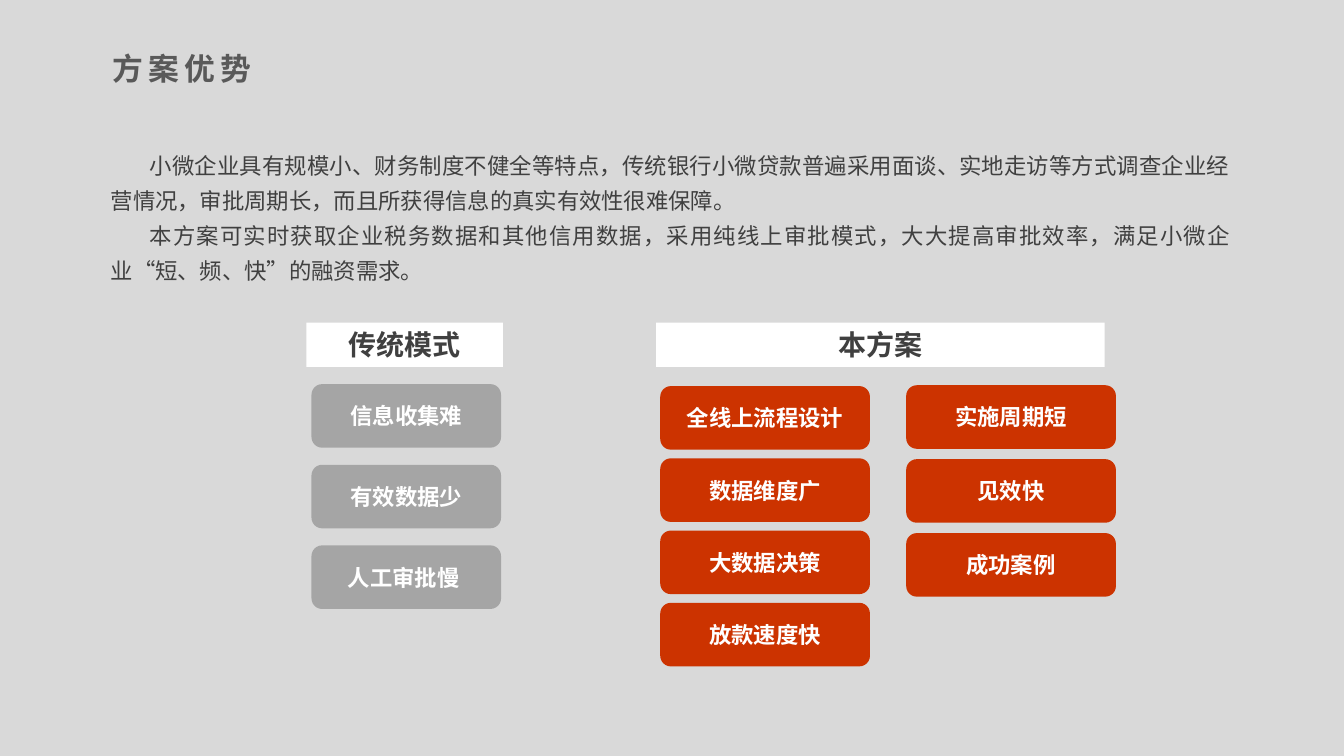
from dataclasses import dataclass

from lxml.etree import SubElement
from pptx import Presentation
from pptx.dml.color import RGBColor
from pptx.enum.shapes import MSO_SHAPE
from pptx.enum.text import MSO_ANCHOR, MSO_AUTO_SIZE, PP_ALIGN
from pptx.oxml.ns import qn
from pptx.slide import Slide
from pptx.text.text import TextFrame
from pptx.util import Pt

FONT = "Noto Sans CJK SC"
BACKGROUND = RGBColor(0xD9, 0xD9, 0xD9)
TITLE_GRAY = RGBColor(0x59, 0x59, 0x59)
DARK = RGBColor(0x40, 0x40, 0x40)
GRAY = RGBColor(0xA5, 0xA5, 0xA5)
RED = RGBColor(0xCC, 0x33, 0x00)
WHITE = RGBColor(0xFF, 0xFF, 0xFF)

BUTTON_HEIGHT = 45.4
HEADER_TOP = 230.4
HEADER_HEIGHT = 31.7

INTRODUCTION = [
    "小微企业具有规模小、财务制度不健全等特点，传统银行小微贷款普遍采用面谈、实地走访等方式调查企业经营情况，审批周期长，而且所获得信息的真实有效性很难保障。",
    "本方案可实时获取企业税务数据和其他信用数据，采用纯线上审批模式，大大提高审批效率，满足小微企业“短、频、快”的融资需求。",
]


@dataclass
class Header:
    text: str
    left: float
    width: float


@dataclass
class ButtonColumn:
    labels: list[str]
    left: float
    top: float
    width: float
    pitch: float
    fill: RGBColor


HEADERS = [Header("传统模式", 218.9, 140.4), Header("本方案", 468.7, 320.4)]
COLUMNS = [
    ButtonColumn(["信息收集难", "有效数据少", "人工审批慢 "], 222.5, 274.4, 135.4, 57.6, GRAY),
    ButtonColumn(["全线上流程设计", "数据维度广", "大数据决策", "放款速度快"],
                 471.6, 275.8, 149.8, 51.6, RED),
    ButtonColumn(["实施周期短", "见效快", "成功案例"], 647.3, 275.2, 149.8, 52.8, RED),
]


def write_text(frame: TextFrame, texts: list[str], *, size: float, color: RGBColor,
               bold: bool = False, align: PP_ALIGN = PP_ALIGN.CENTER,
               anchor: MSO_ANCHOR = MSO_ANCHOR.MIDDLE, tracking: float = 0,
               indent: float = 0, line_height: float | None = None) -> None:
    frame.word_wrap = True
    frame.auto_size = MSO_AUTO_SIZE.NONE
    frame.vertical_anchor = anchor
    for index, text in enumerate(texts):
        paragraph = frame.paragraphs[0] if index == 0 else frame.add_paragraph()
        paragraph.alignment = align
        if line_height:
            paragraph.line_spacing = Pt(line_height)
        if indent:
            properties = paragraph._p.get_or_add_pPr()
            properties.set("marL", "0")
            properties.set("indent", str(Pt(indent)))
        run = paragraph.add_run()
        run.text = text
        run.font.size = Pt(size)
        run.font.bold = bold
        run.font.color.rgb = color
        run.font.name = FONT
        run_properties = run._r.get_or_add_rPr()
        SubElement(run_properties, qn("a:ea")).set("typeface", FONT)
        if tracking:
            run_properties.set("spc", str(round(tracking * 100)))


def add_box(slide: Slide, kind: MSO_SHAPE, left: float, top: float, width: float,
            height: float, fill: RGBColor) -> TextFrame:
    shape = slide.shapes.add_shape(kind, Pt(left), Pt(top), Pt(width), Pt(height))
    shape.shadow.inherit = False
    shape.fill.solid()
    shape.fill.fore_color.rgb = fill
    shape.line.fill.background()
    return shape.text_frame


def add_title(slide: Slide) -> None:
    title = slide.shapes.title
    title.left, title.top, title.width, title.height = Pt(72), Pt(31.7), Pt(864), Pt(33.8)
    frame = title.text_frame
    frame.margin_left = frame.margin_right = Pt(8.6)
    frame.margin_top = frame.margin_bottom = Pt(4.3)
    write_text(frame, ["方案优势"], size=22, color=TITLE_GRAY, bold=True,
               align=PP_ALIGN.LEFT, tracking=3.6)


def add_introduction(slide: Slide) -> None:
    textbox = slide.shapes.add_textbox(Pt(72), Pt(99.4), Pt(814.3), Pt(108))
    write_text(textbox.text_frame, INTRODUCTION, size=16, color=DARK,
               align=PP_ALIGN.JUSTIFY, anchor=MSO_ANCHOR.TOP, indent=28, line_height=25)


def add_header(slide: Slide, header: Header) -> None:
    frame = add_box(slide, MSO_SHAPE.RECTANGLE, header.left, HEADER_TOP,
                    header.width, HEADER_HEIGHT, WHITE)
    frame.margin_top = frame.margin_bottom = Pt(0)
    write_text(frame, [header.text], size=20, color=DARK, bold=True)


def add_column(slide: Slide, column: ButtonColumn) -> None:
    for row, label in enumerate(column.labels):
        frame = add_box(slide, MSO_SHAPE.ROUNDED_RECTANGLE, column.left,
                        column.top + row * column.pitch, column.width,
                        BUTTON_HEIGHT, column.fill)
        write_text(frame, [label], size=16, color=WHITE, bold=True)


def main() -> None:
    presentation = Presentation()
    presentation.slide_width = Pt(960)
    presentation.slide_height = Pt(540)
    slide = presentation.slides.add_slide(presentation.slide_layouts[5])
    slide.background.fill.solid()
    slide.background.fill.fore_color.rgb = BACKGROUND
    add_title(slide)
    add_introduction(slide)
    for header in HEADERS:
        add_header(slide, header)
    for column in COLUMNS:
        add_column(slide, column)
    presentation.save("out.pptx")


if __name__ == "__main__":
    main()
